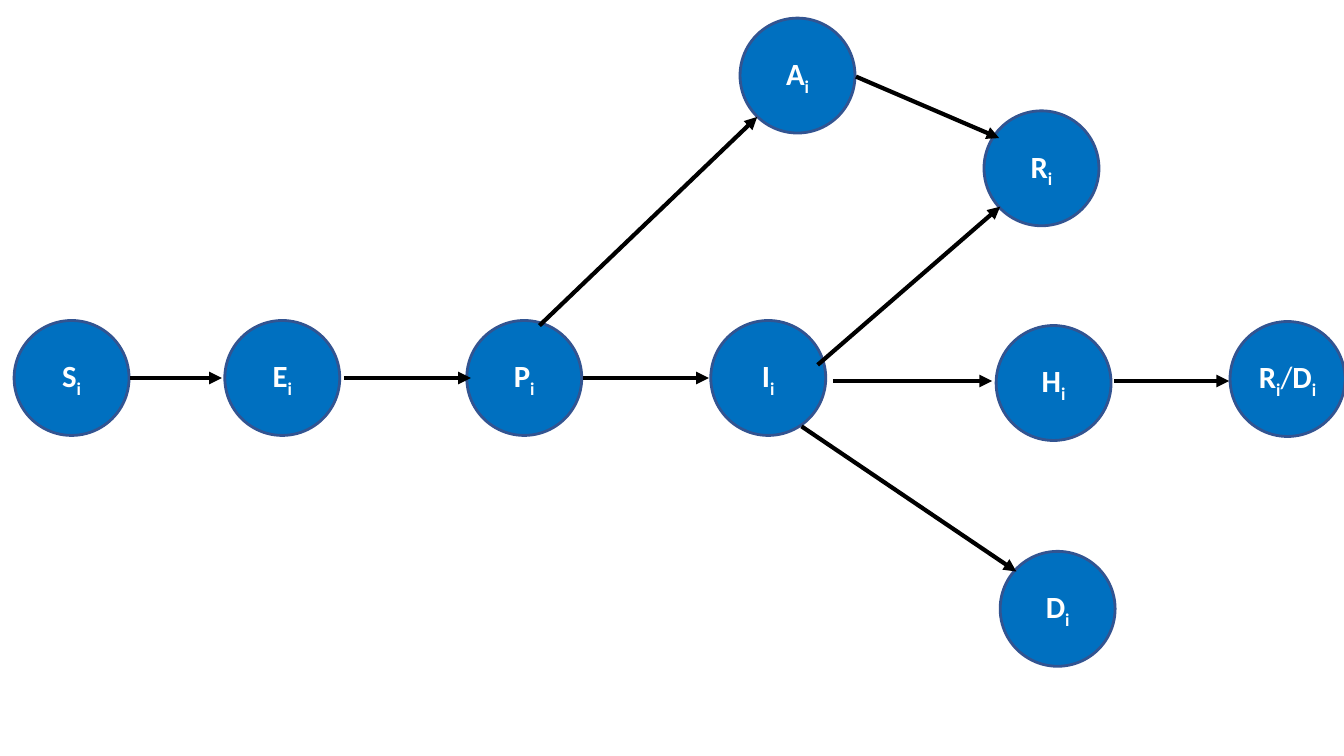
from dataclasses import dataclass

from lxml import etree
from pptx import Presentation
from pptx.dml.color import RGBColor
from pptx.enum.shapes import MSO_CONNECTOR, MSO_SHAPE
from pptx.enum.text import MSO_ANCHOR, PP_ALIGN
from pptx.oxml.ns import qn
from pptx.slide import Slide
from pptx.util import Emu, Pt

ELLIPSE = MSO_SHAPE.OVAL
STRAIGHT = MSO_CONNECTOR.STRAIGHT
MIDDLE = MSO_ANCHOR.MIDDLE
CENTER = PP_ALIGN.CENTER

EMU_PER_PX = 9144  # 100 px to the inch
SLIDE_WIDTH, SLIDE_HEIGHT = 1333, 750
DIAMETER = 114
FONT = "Calibri"
SUBSCRIPT = "i"
COLORS = {
    "state": "0070C0",
    "outline": "325491",
    "label": "FFFFFF",
    "arrow": "000000",
}


@dataclass(frozen=True)
class State:
    label: str
    left: int
    top: int


@dataclass(frozen=True)
class Transition:
    start_x: int
    start_y: int
    end_x: int
    end_y: int


STATES = [
    State("Si", 14, 318),
    State("Ei", 223, 318),
    State("Pi", 463, 318),
    State("Ii", 705, 318),
    State("Hi", 988, 323),
    State("Ri/Di", 1220, 319),
    State("Ai", 734, 18),
    State("Ri", 976, 110),
    State("Di", 992, 547),
]

TRANSITIONS = [
    Transition(129, 375, 220, 375),    # S to E
    Transition(341, 375, 467, 375),    # E to P
    Transition(578, 375, 703, 375),    # P to I
    Transition(535, 323, 751, 116),    # P to A
    Transition(849, 76, 991, 137),     # A to R
    Transition(811, 362, 992, 205),    # I to R
    Transition(826, 378, 984, 378),    # I to H
    Transition(795, 423, 1008, 567),   # I to D
    Transition(1105, 378, 1219, 378),  # H to R/D
]


def px(length: int) -> Emu:
    return Emu(length * EMU_PER_PX)


def color(name: str) -> RGBColor:
    return RGBColor.from_string(COLORS[name])


def draw_state(slide: Slide, state: State) -> None:
    shape = slide.shapes.add_shape(
        ELLIPSE, px(state.left), px(state.top), px(DIAMETER), px(DIAMETER)
    )
    shape.shadow.inherit = False
    shape.fill.solid()
    shape.fill.fore_color.rgb = color("state")
    shape.line.color.rgb = color("outline")
    shape.line.width = Pt(2)

    # Label, with each index letter lowered
    frame = shape.text_frame
    frame.word_wrap = True
    frame.vertical_anchor = MIDDLE
    paragraph = frame.paragraphs[0]
    paragraph.alignment = CENTER
    for letter in state.label:
        run = paragraph.add_run()
        run.text = letter
        run.font.name = FONT
        run.font.size = Pt(22)
        run.font.bold = letter != "/"
        run.font.color.rgb = color("label")
        if letter == SUBSCRIPT:
            run._r.get_or_add_rPr().set("baseline", "-25000")


def draw_transition(slide: Slide, transition: Transition) -> None:
    connector = slide.shapes.add_connector(
        STRAIGHT,
        px(transition.start_x),
        px(transition.start_y),
        px(transition.end_x),
        px(transition.end_y),
    )
    connector.line.color.rgb = color("arrow")
    connector.line.width = Pt(3)

    # Arrowhead at the end, no shadow
    line = connector.line._get_or_add_ln()
    etree.SubElement(line, qn("a:tailEnd"), type="triangle")
    etree.SubElement(connector._element.spPr, qn("a:effectLst"))


def main() -> None:
    presentation = Presentation()
    presentation.slide_width = px(SLIDE_WIDTH)
    presentation.slide_height = px(SLIDE_HEIGHT)
    slide = presentation.slides.add_slide(presentation.slide_layouts[6])

    # States first, so that the arrows lie on top
    for state in STATES:
        draw_state(slide, state)
    for transition in TRANSITIONS:
        draw_transition(slide, transition)

    presentation.save("out.pptx")


if __name__ == "__main__":
    main()
